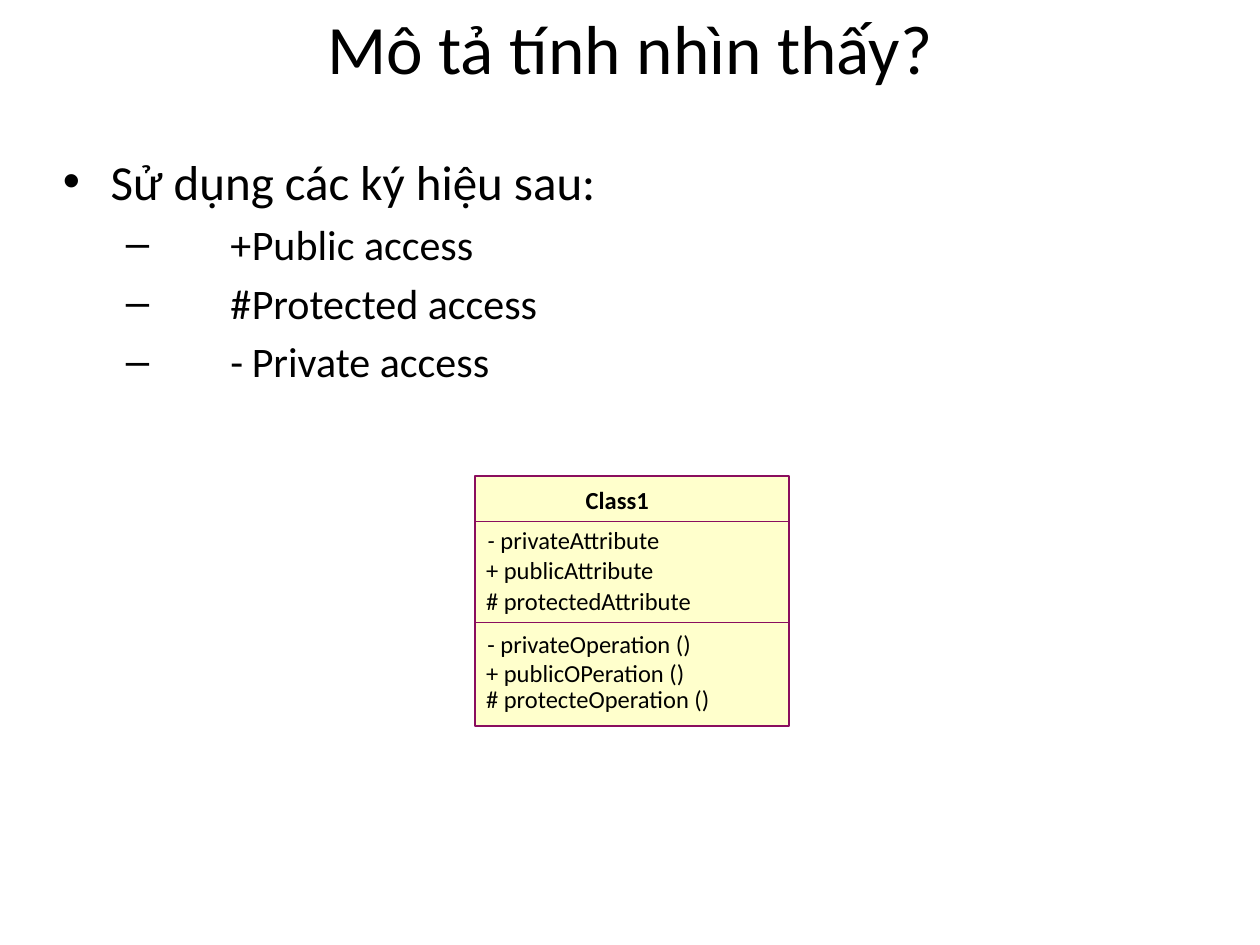
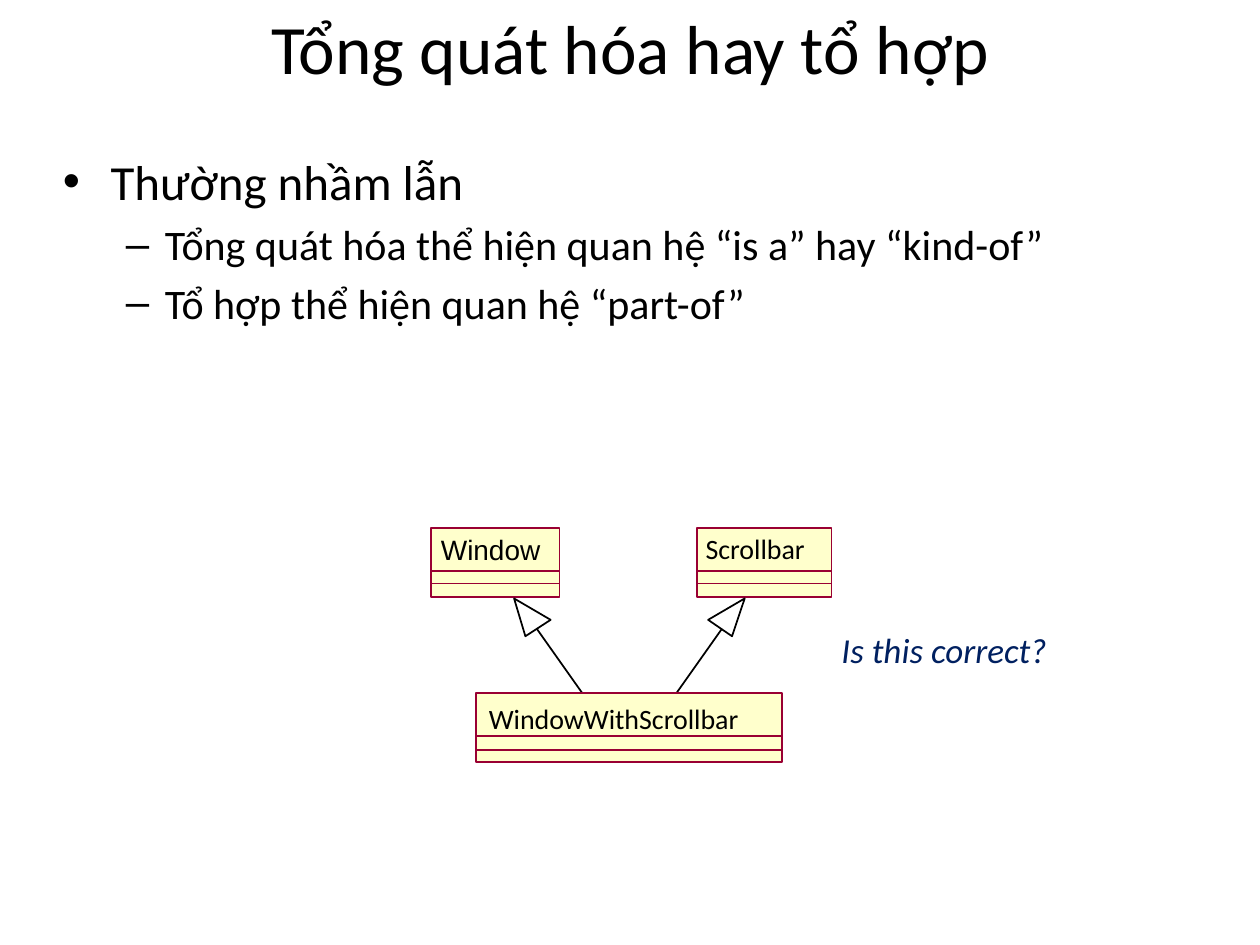
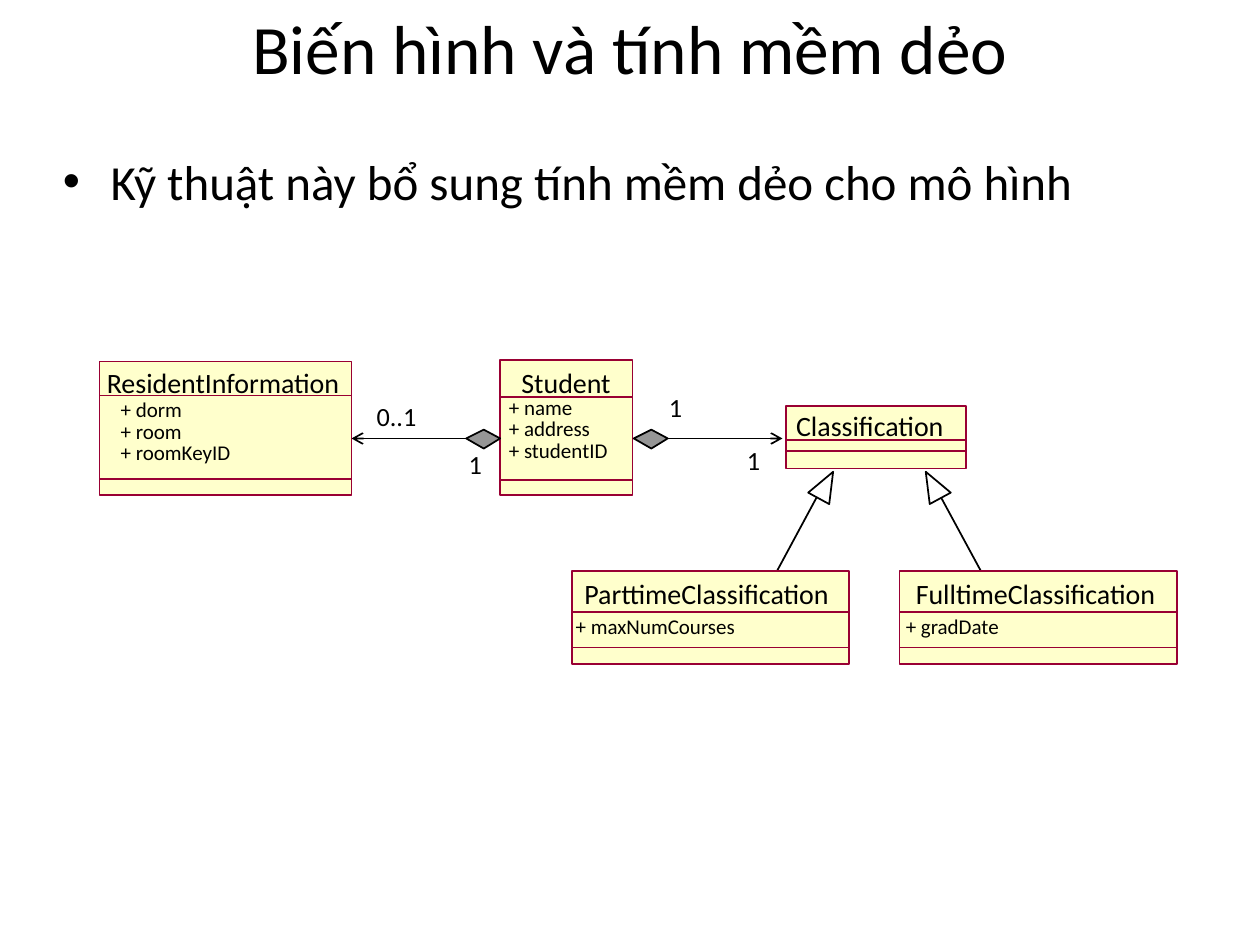
from dataclasses import dataclass

from lxml import etree
from pptx import Presentation
from pptx.dml.color import RGBColor
from pptx.enum.shapes import MSO_CONNECTOR, MSO_SHAPE
from pptx.enum.text import MSO_ANCHOR as Anchor, MSO_AUTO_SIZE as AutoSize, PP_ALIGN as Align
from pptx.oxml.ns import qn
from pptx.util import Inches, Pt


@dataclass(frozen=True)
class Theme:
    font: str = "Calibri"
    ink: str = "000000"
    question: str = "002060"
    class_fill: str = "FFFFCC"
    plum: str = "8A0E5E"
    crimson: str = "990033"
    diamond: str = "969696"
    title: float = 39.6
    bullet: int = 28
    dash: int = 24
    asked: int = 20
    class_name: int = 16
    multiplicity: int = 15
    member: int = 14
    small_member: int = 12
    line: int = 1


THEME = Theme()
PADDED = (0.1, 0.05)
TIGHT = (0, 0)
TOP_BULLET = ("•", 0.38, -0.38, THEME.bullet)
SUB_BULLET = ("–", 0.81, -0.31, THEME.dash)
SYMBOL_BULLET = ("–", 1.33, -0.83, THEME.dash)

VISIBILITY = {
    "title": "Mô tả tính nhìn thấy?",
    "body": [
        ("Sử dụng các ký hiệu sau:", TOP_BULLET),
        ("+\tPublic access", SYMBOL_BULLET),
        ("#\tProtected access", SYMBOL_BULLET),
        ("-\tPrivate access", SYMBOL_BULLET),
    ],
    "body_size": (8.98, 3.56),
    "border": THEME.plum,
    "classes": [((3.77, 3.78, 2.49, 1.98), (4.14, 4.94))],
}
CLASS_TITLE = ("Class1", (4.55, 3.8, 0.95, 0.34))
MEMBERS = [
    ([("- ", True), ("privateAttribute", False)], (3.77, 4.12, 1.7, 0.34)),
    ("+ publicAttribute", (3.76, 4.36, 1.71, 0.34)),
    ("# protectedAttribute", (3.76, 4.6, 2.02, 0.34)),
    ("- privateOperation ()", (3.77, 4.94, 1.96, 0.34)),
    ("+ publicOPeration ()", (3.76, 5.17, 2.05, 0.34)),
    ("# protecteOperation ()", (3.76, 5.38, 2.14, 0.34)),
]

GENERALIZATION = {
    "title": "Tổng quát hóa hay tổ hợp",
    "body": [
        ("Thường nhầm lẫn", TOP_BULLET),
        ("Tổng quát hóa thể hiện quan hệ “is a” hay “kind-of”", SUB_BULLET),
        ("Tổ hợp thể hiện quan hệ “part-of”", SUB_BULLET),
    ],
    "body_size": (9.06, 3.42),
    "border": THEME.crimson,
    "links": [((5.73, 4.99), (5.15, 5.81)), ((4.26, 4.99), (4.84, 5.81))],
    "classes": [
        ((3.42, 4.19, 1.02, 0.55), (4.53, 4.63)),
        ((3.78, 5.5, 2.43, 0.55), (5.84, 5.95)),
        ((5.53, 4.19, 1.07, 0.55), (4.53, 4.63)),
    ],
}
GENERALIZATION_NAMES = [
    ("Window", (3.5, 4.23, 0.8, 0.27), "Arial"),
    ("WindowWithScrollbar", (3.88, 5.57, 2.01, 0.27), THEME.font),
    ("Scrollbar", (5.6, 4.22, 0.8, 0.27), THEME.font),
]
ARROWHEADS = [
    [(5.91, 4.75), (5.81, 5.05), (5.62, 4.92)],
    [(4.08, 4.75), (4.17, 5.05), (4.37, 4.92)],
]
QUESTION = ("Is this correct?", (6.58, 4.94, 1.85, 0.44))

POLYMORPHISM = {
    "title": "Biến hình và tính mềm dẻo",
    "body": [("Kỹ thuật này bổ sung tính mềm dẻo cho mô hình", TOP_BULLET)],
    "body_size": (9.27, 4.07),
    "border": THEME.crimson,
    "links": [((6.48, 3.95), (6.13, 4.6)), ((7.47, 3.95), (7.8, 4.56))],
    "arrows": [((5.19, 3.48), (6.21, 3.48)), ((3.81, 3.48), (2.79, 3.48))],
    "classes": [
        ((0.79, 2.87, 2, 1.06), (3.14, 3.8)),
        ((6.24, 3.22, 1.43, 0.5), (3.49, 3.58)),
        ((4.54, 4.53, 2.2, 0.74), (4.86, 5.14)),
        ((7.14, 4.53, 2.2, 0.74), (4.86, 5.14)),
        ((3.97, 2.86, 1.05, 1.07), (3.15, 3.81)),
    ],
}
POLYMORPHISM_NAMES = [
    ("ResidentInformation", (0.75, 2.85, 2.07, 0.37)),
    ("Classification", (6.22, 3.19, 1.39, 0.37)),
    ("ParttimeClassification", (4.54, 4.53, 2.17, 0.37)),
    ("FulltimeClassification", (7.17, 4.53, 2.13, 0.37)),
    ("Student", (4.04, 2.85, 0.92, 0.37)),
]
ATTRIBUTES = [
    (["+ dorm", "+ room", "+ roomKeyID"], (0.86, 3.13, 1.08, 0.62), 0.85),
    (["+ name", "+ address", "+ studentID"], (3.94, 3.11, 0.99, 0.62), 0.85),
    (["+ maxNumCourses"], (4.47, 4.82, 1.48, 0.3), None),
    (["+ gradDate"], (7.09, 4.82, 0.95, 0.3), None),
]
MULTIPLICITIES = [
    ("1", (5.83, 3.48, 0.31, 0.35)),
    ("1", (5.21, 3.06, 0.31, 0.35)),
    ("1", (3.62, 3.51, 0.31, 0.35)),
    ("0..1", (2.89, 3.13, 0.52, 0.35)),
]
TRIANGLES = [((6.46, 3.73, 0.19, 0.24), 28.5), ((7.31, 3.73, 0.19, 0.24), 331.5)]
DIAMOND_LEFTS = (3.7, 5.03)


def inches(values):
    return [Inches(value) for value in values]


def set_font(font, size, color=THEME.ink, name=THEME.font, bold=False, italic=False):
    font.size, font.name, font.bold, font.italic = Pt(size), name, bold, italic
    font.color.rgb = RGBColor.from_string(color)


def add_text(slide, paragraphs, at, size, inset=PADDED, wrap=False, spacing=None,
             italic=False, **font):
    frame = slide.shapes.add_textbox(*inches(at)).text_frame
    frame.word_wrap = wrap
    frame.auto_size = AutoSize.SHAPE_TO_FIT_TEXT
    frame.margin_left = frame.margin_right = Inches(inset[0])
    frame.margin_top = frame.margin_bottom = Inches(inset[1])
    for index, content in enumerate(paragraphs):
        paragraph = frame.add_paragraph() if index else frame.paragraphs[0]
        paragraph.line_spacing = spacing
        runs = [(content, italic)] if isinstance(content, str) else content
        for words, slanted in runs:
            run = paragraph.add_run()
            run.text = words
            set_font(run.font, size, italic=slanted, **font)


def add_body(slide, items, size):
    frame = slide.shapes.add_textbox(*inches((0.4, 1.15, *size))).text_frame
    frame.word_wrap = True
    for index, (words, (mark, margin, indent, points)) in enumerate(items):
        paragraph = frame.add_paragraph() if index else frame.paragraphs[0]
        paragraph.text = words
        if index:
            paragraph.space_before = Pt(points * 0.2)
        properties = paragraph._p.get_or_add_pPr()
        properties.set("marL", str(Inches(margin)))
        properties.set("indent", str(Inches(indent)))
        etree.SubElement(properties, qn("a:buFont")).set("typeface", "Arial")
        etree.SubElement(properties, qn("a:buChar")).set("char", mark)
        set_font(paragraph.font, points)


def set_line(line, color):
    line.color.rgb = RGBColor.from_string(color)
    line.width = Pt(THEME.line)


def style_shape(shape, border=THEME.ink, fill=None):
    shape.shadow.inherit = False
    set_line(shape.line, border)
    if fill:
        shape.fill.solid()
        shape.fill.fore_color.rgb = RGBColor.from_string(fill)
    else:
        shape.fill.background()


def add_line(slide, start, end, color=THEME.ink, arrow=False):
    line = slide.shapes.add_connector(MSO_CONNECTOR.STRAIGHT, *inches(start + end))
    set_line(line.line, color)
    if arrow:
        etree.SubElement(line.line._get_or_add_ln(), qn("a:tailEnd")).set("type", "arrow")
    etree.SubElement(line._element.spPr, qn("a:effectLst"))


def add_outline(slide, points, fill=None):
    first, *rest = [tuple(inches(point)) for point in points]
    builder = slide.shapes.build_freeform(*first)
    builder.add_line_segments(rest, close=True)
    style_shape(builder.convert_to_shape(), fill=fill)


def add_class(slide, at, dividers, border):
    box = slide.shapes.add_shape(MSO_SHAPE.RECTANGLE, *inches(at))
    style_shape(box, border, THEME.class_fill)
    left, _, width, _ = at
    for y in dividers:
        add_line(slide, (left, y), (left + width, y), border)


def start_slide(deck, content):
    slide = deck.slides.add_slide(deck.slide_layouts.get_by_name("Title Only"))
    title = slide.shapes.title
    title.left, title.top, title.width, title.height = inches((0.08, 0.08, 9.84, 0.58))
    frame = title.text_frame
    frame.text = content["title"]
    frame.auto_size = AutoSize.NONE
    frame.vertical_anchor = Anchor.MIDDLE
    frame.paragraphs[0].alignment = Align.CENTER
    set_font(frame.paragraphs[0].runs[0].font, THEME.title)
    add_body(slide, content["body"], content["body_size"])
    for start, end in content.get("links", []):
        add_line(slide, start, end)
    for start, end in content.get("arrows", []):
        add_line(slide, start, end, arrow=True)
    for at, dividers in content["classes"]:
        add_class(slide, at, dividers, content["border"])
    return slide


def build_visibility(deck):
    slide = start_slide(deck, VISIBILITY)
    name, at = CLASS_TITLE
    add_text(slide, [name], at, THEME.member, wrap=True, bold=True)
    for member, at in MEMBERS:
        add_text(slide, [member], at, THEME.member, wrap=True)


def build_generalization(deck):
    slide = start_slide(deck, GENERALIZATION)
    for name, at, typeface in GENERALIZATION_NAMES:
        add_text(slide, [name], at, THEME.class_name, inset=TIGHT, name=typeface)
    for points in ARROWHEADS:
        add_outline(slide, points)
    question, at = QUESTION
    add_text(slide, [question], at, THEME.asked, color=THEME.question, italic=True)


def build_polymorphism(deck):
    slide = start_slide(deck, POLYMORPHISM)
    for name, at in POLYMORPHISM_NAMES:
        add_text(slide, [name], at, THEME.class_name)
    for attributes, at, spacing in ATTRIBUTES:
        add_text(slide, attributes, at, THEME.small_member, spacing=spacing)
    for count, at in MULTIPLICITIES:
        add_text(slide, [count], at, THEME.multiplicity)
    for at, angle in TRIANGLES:
        triangle = slide.shapes.add_shape(MSO_SHAPE.ISOSCELES_TRIANGLE, *inches(at))
        triangle.rotation = angle
        style_shape(triangle)
    for left in DIAMOND_LEFTS:
        middle, right = left + 0.14, left + 0.27
        corners = [(left, 3.48), (middle, 3.41), (right, 3.48), (middle, 3.56)]
        add_outline(slide, corners, THEME.diamond)


def main():
    deck = Presentation()
    deck.slide_width, deck.slide_height = Inches(10), Inches(7.5)
    build_visibility(deck)
    build_generalization(deck)
    build_polymorphism(deck)
    deck.save("out.pptx")


if __name__ == "__main__":
    main()
